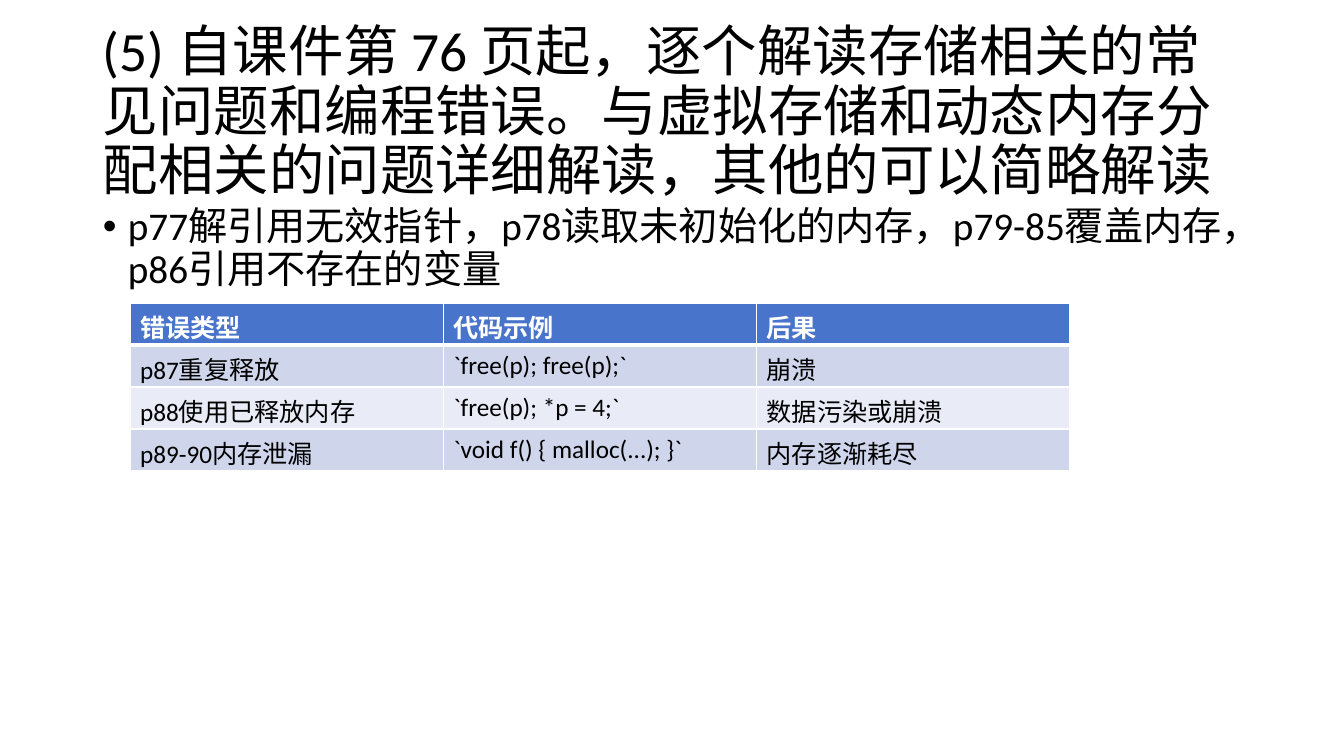
from dataclasses import dataclass

from lxml.etree import SubElement
from pptx import Presentation
from pptx.dml.color import RGBColor
from pptx.enum.text import MSO_ANCHOR
from pptx.oxml.ns import qn
from pptx.util import Emu, Pt

EMU_PER_PX = 12192000 / 1344
SLIDE_SIZE = (1344, 756)

TITLE = "(5) 自课件第 76 页起，逐个解读存储相关的常见问题和编程错误。与虚拟存储和动态内存分配相关的问题详细解读，其他的可以简略解读"
SUMMARY = "p77解引用无效指针，p78读取未初始化的内存，p79-85覆盖内存，p86引用不存在的变量"
ERROR_ROWS = [
    ("错误类型", "代码示例", "后果"),
    ("p87重复释放", "`free(p); free(p);`", "崩溃"),
    ("p88使用已释放内存", "`free(p); *p = 4;`", "数据污染或崩溃"),
    ("p89-90内存泄漏", "`void f() { malloc(...); }`", "内存逐渐耗尽"),
]


@dataclass(frozen=True)
class Theme:
    font: str = "Calibri"
    text: str = "000000"
    white: str = "FFFFFF"
    header: str = "4874CB"
    bands: tuple = ("CFD6EC", "E9EBF6")
    title_size: float = 39.6
    body_size: float = 28
    table_size: float = 18
    line_spacing: float = 0.9
    border: float = 1
    header_border: float = 3


def px(length):
    return Emu(round(length * EMU_PER_PX))


class SlideBuilder:
    def __init__(self, slide, theme):
        self.slide = slide
        self.theme = theme

    def style(self, paragraph, size, color, bold=False):
        font = paragraph.font
        font.name = self.theme.font
        font.size = Pt(size)
        font.bold = bold
        font.color.rgb = RGBColor.from_string(color)

    def text(self, content, left, top, width, height, size,
             anchor=MSO_ANCHOR.TOP, bullet_indent=0):
        box = self.slide.shapes.add_textbox(px(left), px(top), px(width), px(height))
        frame = box.text_frame
        frame.word_wrap = True
        frame.vertical_anchor = anchor
        paragraph = frame.paragraphs[0]
        paragraph.text = content
        paragraph.line_spacing = self.theme.line_spacing
        if bullet_indent:
            self.bullet(paragraph, px(bullet_indent))
        self.style(paragraph, size, self.theme.text)

    def bullet(self, paragraph, indent):
        properties = paragraph._p.get_or_add_pPr()
        properties.set("marL", str(indent))
        properties.set("indent", str(-indent))
        SubElement(properties, qn("a:buFont"), typeface="Arial")
        SubElement(properties, qn("a:buChar"), char="•")

    def borders(self, cell, top, bottom):
        """Draw white cell edges; top and bottom are widths in points."""
        side = self.theme.border
        properties = cell._tc.get_or_add_tcPr()
        for edge, width in (("L", side), ("R", side), ("T", top), ("B", bottom)):
            line = SubElement(properties, qn(f"a:ln{edge}"), w=str(Pt(width)))
            fill = SubElement(line, qn("a:solidFill"))
            SubElement(fill, qn("a:srgbClr"), val=self.theme.white)

    def table(self, rows, left, top, width, row_height):
        theme = self.theme
        table = self.slide.shapes.add_table(
            len(rows), len(rows[0]), px(left), px(top),
            px(width), px(row_height * len(rows))).table
        table.horz_banding = False
        for row_index, values in enumerate(rows):
            is_header = row_index == 0
            fill = theme.header if is_header else theme.bands[(row_index - 1) % 2]
            color = theme.white if is_header else theme.text
            top_border = theme.header_border if row_index == 1 else theme.border
            bottom_border = theme.header_border if is_header else theme.border
            for column_index, value in enumerate(values):
                cell = table.cell(row_index, column_index)
                self.borders(cell, top_border, bottom_border)
                cell.fill.solid()
                cell.fill.fore_color.rgb = RGBColor.from_string(fill)
                cell.text = value
                self.style(cell.text_frame.paragraphs[0], theme.table_size,
                           color, bold=is_header)


def main():
    presentation = Presentation()
    presentation.slide_width, presentation.slide_height = map(px, SLIDE_SIZE)
    theme = Theme()
    slide = presentation.slides.add_slide(presentation.slide_layouts[6])
    builder = SlideBuilder(slide, theme)
    builder.text(TITLE, 93, 40, 1159, 146, theme.title_size, anchor=MSO_ANCHOR.MIDDLE)
    builder.text(SUMMARY, 93, 202, 1159, 480, theme.body_size, bullet_indent=25)
    builder.table(ERROR_ROWS, 130, 303, 940, 42)
    presentation.save("out.pptx")


if __name__ == "__main__":
    main()
